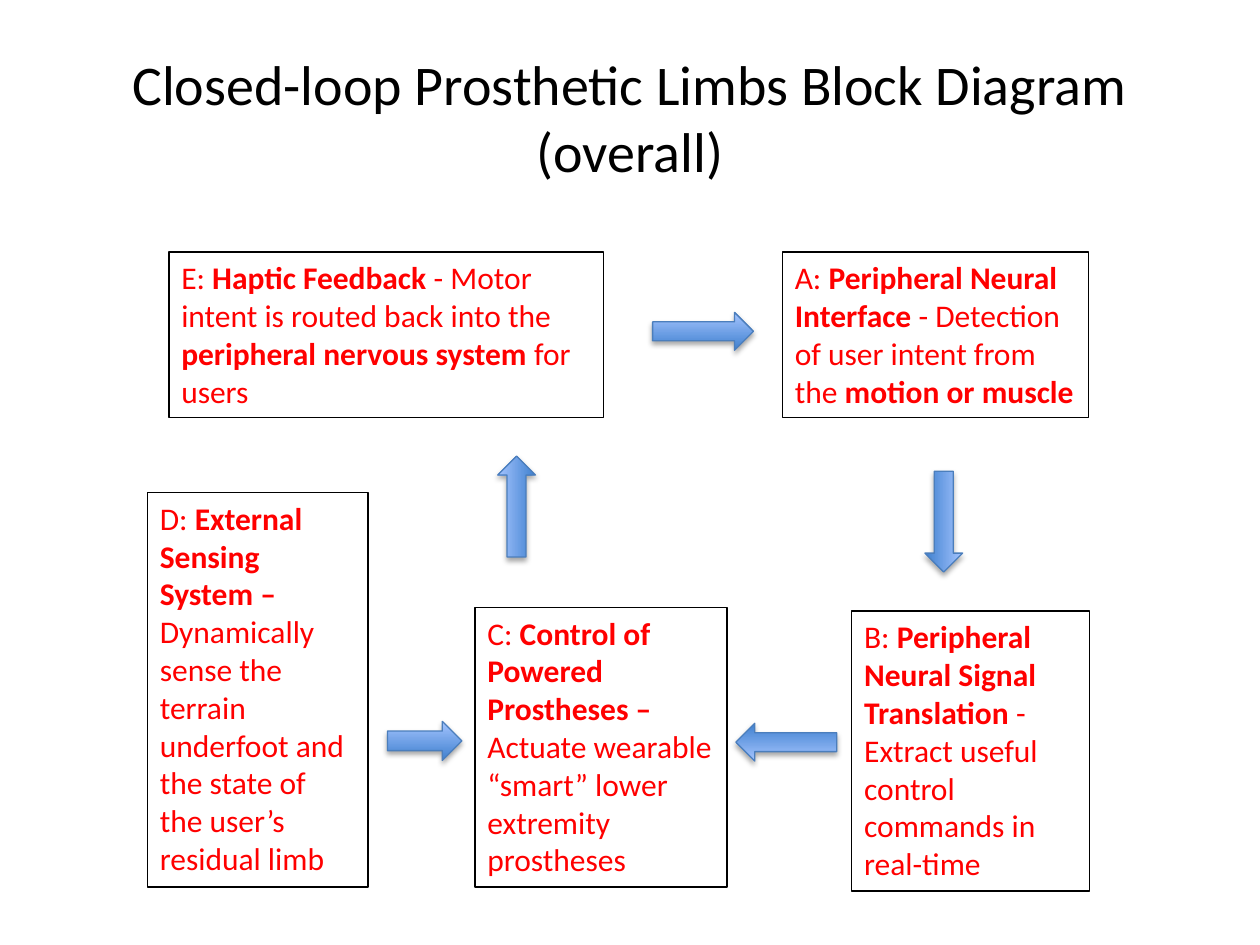
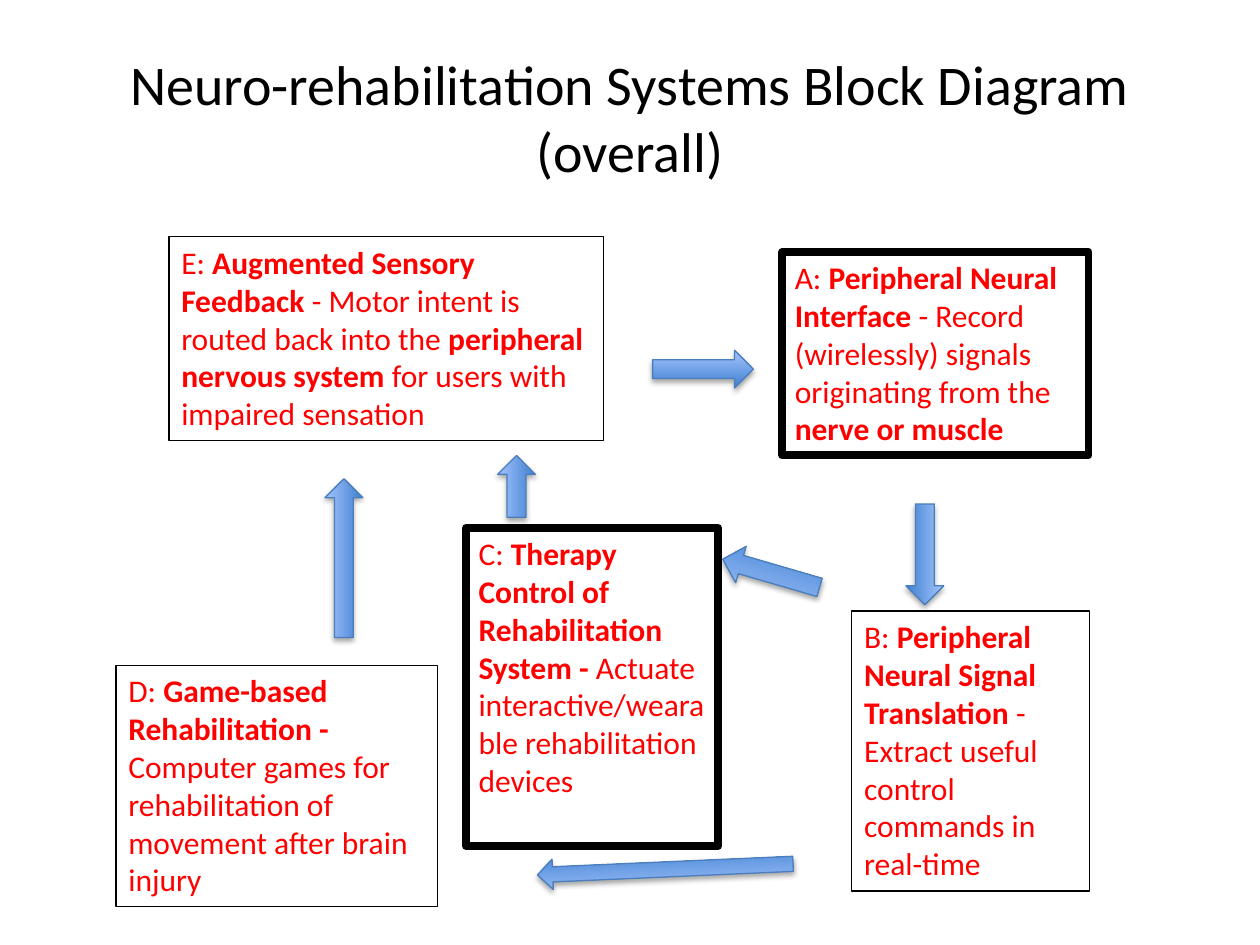
import lxml.etree
import pptx
import pptx.dml.color
import pptx.enum.shapes
import pptx.enum.text
import pptx.oxml.ns
import pptx.util

RGBColor = pptx.dml.color.RGBColor
BLACK = RGBColor(0x00, 0x00, 0x00)
RED = RGBColor(0xFF, 0x00, 0x00)
ARROW_DARK = RGBColor(0x3F, 0x80, 0xCE)
ARROW_LIGHT = RGBColor(0xA4, 0xC4, 0xFF)
ARROW_EDGE = RGBColor(0x4B, 0x7E, 0xBC)

FONT = "Calibri"
COLUMNS, ROWS = 10, 7.5  # grid of one-inch cells
TITLE_AREA = (0.5, 0.3, 9, 1.25)
THIN, THICK = 0.75, 4.5
LINE_HEIGHT, BOX_PADDING = 0.303, 0.1
RIGHT, LEFT, UP, DOWN = 0, 180, 270, 90

# Blocks: text with *bold* parts, left, top, width, lines of text, border.
TRANSLATION = ("B: *Peripheral Neural Signal Translation *- Extract useful "
               "control commands in real-time", 6.76, 4.85, 1.89, 7, THIN)

# Arrows: centre column, centre row, length, thickness, direction in degrees.
DIAGRAMS = [
    {
        "title": "Closed-loop Prosthetic Limbs Block Diagram (overall)",
        "blocks": [
            ("A: *Peripheral Neural Interface *- Detection of user intent "
             "from the *motion or muscle*", 6.21, 2, 2.43, 4, THIN),
            TRANSLATION,
            ("C: *Control of Powered Prostheses – *Actuate wearable “smart” "
             "lower extremity prostheses", 3.77, 4.82, 2, 7, THIN),
            ("D: *External Sensing System – *Dynamically sense the terrain "
             "underfoot and the state of the user’s residual limb",
             1.17, 3.91, 1.75, 10, THIN),
            ("E: *Haptic Feedback *- Motor intent is routed back into the "
             "*peripheral nervous system* for users", 1.34, 2, 3.45, 4, THIN),
        ],
        "arrows": [
            (5.58, 2.63, 0.8, 0.3, RIGHT),
            (4.1, 4.02, 0.8, 0.3, UP),
            (3.37, 5.88, 0.59, 0.31, RIGHT),
            (6.24, 5.89, 0.8, 0.3, LEFT),
            (7.49, 4.14, 0.8, 0.3, DOWN),
        ],
    },
    {
        "title": "Neuro-rehabilitation Systems Block Diagram (overall)",
        "blocks": [
            ("A: *Peripheral Neural Interface *- Record (wirelessly) signals "
             "originating from the *nerve or muscle*",
             6.21, 2, 2.43, 5, THICK),
            TRANSLATION,
            ("C: *Therapy Control of Rehabilitation System - *Actuate "
             "interactive/wearable rehabilitation devices",
             3.7, 4.19, 2, 8, THICK),
            ("D: *Game-based Rehabilitation - *Computer games for "
             "rehabilitation of movement after brain injury",
             0.92, 5.28, 2.55, 6, THIN),
            ("E: *Augmented Sensory Feedback *- Motor intent is routed back "
             "into the *peripheral nervous system* for users with impaired "
             "sensation", 1.34, 1.88, 3.45, 5, THIN),
        ],
        "arrows": [
            (5.58, 2.93, 0.8, 0.3, RIGHT),
            (2.73, 4.43, 1.26, 0.3, UP),
            (4.1, 3.86, 0.49, 0.3, UP),
            (5.28, 6.9, 2.03, 0.24, 177.5),
            (6.12, 4.55, 0.8, 0.3, 196.2),
            (7.34, 4.4, 0.8, 0.3, DOWN),
        ],
    },
]


def inches(*lengths):
    return [pptx.util.Inches(length) for length in lengths]


def add_text(slide, text, area, *, size, color,
             align=pptx.enum.text.PP_ALIGN.LEFT,
             anchor=pptx.enum.text.MSO_ANCHOR.TOP):
    """Add a wrapped text box; parts between asterisks are bold."""
    box = slide.shapes.add_textbox(*inches(*area))
    frame = box.text_frame
    frame.word_wrap = True
    frame.vertical_anchor = anchor
    paragraph = frame.paragraphs[0]
    paragraph.alignment = align
    for index, part in enumerate(text.split("*")):
        if part:
            run = paragraph.add_run()
            run.text = part
            run.font.name = FONT
            run.font.size = pptx.util.Pt(size)
            run.font.bold = index % 2 == 1
            run.font.color.rgb = color
    return box


def add_block(slide, text, left, top, width, lines, border):
    height = BOX_PADDING + lines * LINE_HEIGHT
    block = add_text(slide, text, (left, top, width, height),
                     size=18, color=RED)
    block.line.color.rgb = BLACK
    block.line.width = pptx.util.Pt(border)


def add_drop_shadow(shape):
    qn = pptx.oxml.ns.qn
    shape.shadow.inherit = False
    effects = shape.element.spPr.find(qn("a:effectLst"))
    shadow = lxml.etree.SubElement(
        effects, qn("a:outerShdw"), blurRad=str(pptx.util.Pt(3.1)),
        dist=str(pptx.util.Pt(1.8)), dir="5400000", rotWithShape="0")
    tone = lxml.etree.SubElement(shadow, qn("a:srgbClr"), val=str(BLACK))
    lxml.etree.SubElement(tone, qn("a:alpha"), val="35000")


def add_arrow(slide, column, row, length, thickness, direction):
    arrow = slide.shapes.add_shape(
        pptx.enum.shapes.MSO_SHAPE.RIGHT_ARROW,
        *inches(column - length / 2, row - thickness / 2, length, thickness))
    arrow.rotation = direction
    arrow.fill.gradient()
    arrow.fill.gradient_angle = 90
    for stop, color in zip(arrow.fill.gradient_stops,
                           (ARROW_DARK, ARROW_LIGHT)):
        stop.color.rgb = color
    arrow.line.color.rgb = ARROW_EDGE
    arrow.line.width = pptx.util.Pt(THIN)
    add_drop_shadow(arrow)


def main():
    deck = pptx.Presentation()
    deck.slide_width, deck.slide_height = inches(COLUMNS, ROWS)
    for diagram in DIAGRAMS:
        slide = deck.slides.add_slide(deck.slide_layouts[6])
        add_text(slide, diagram["title"], TITLE_AREA, size=32, color=BLACK,
                 align=pptx.enum.text.PP_ALIGN.CENTER,
                 anchor=pptx.enum.text.MSO_ANCHOR.MIDDLE)
        for block in diagram["blocks"]:
            add_block(slide, *block)
        for arrow in diagram["arrows"]:
            add_arrow(slide, *arrow)
    deck.save("out.pptx")


if __name__ == "__main__":
    main()
